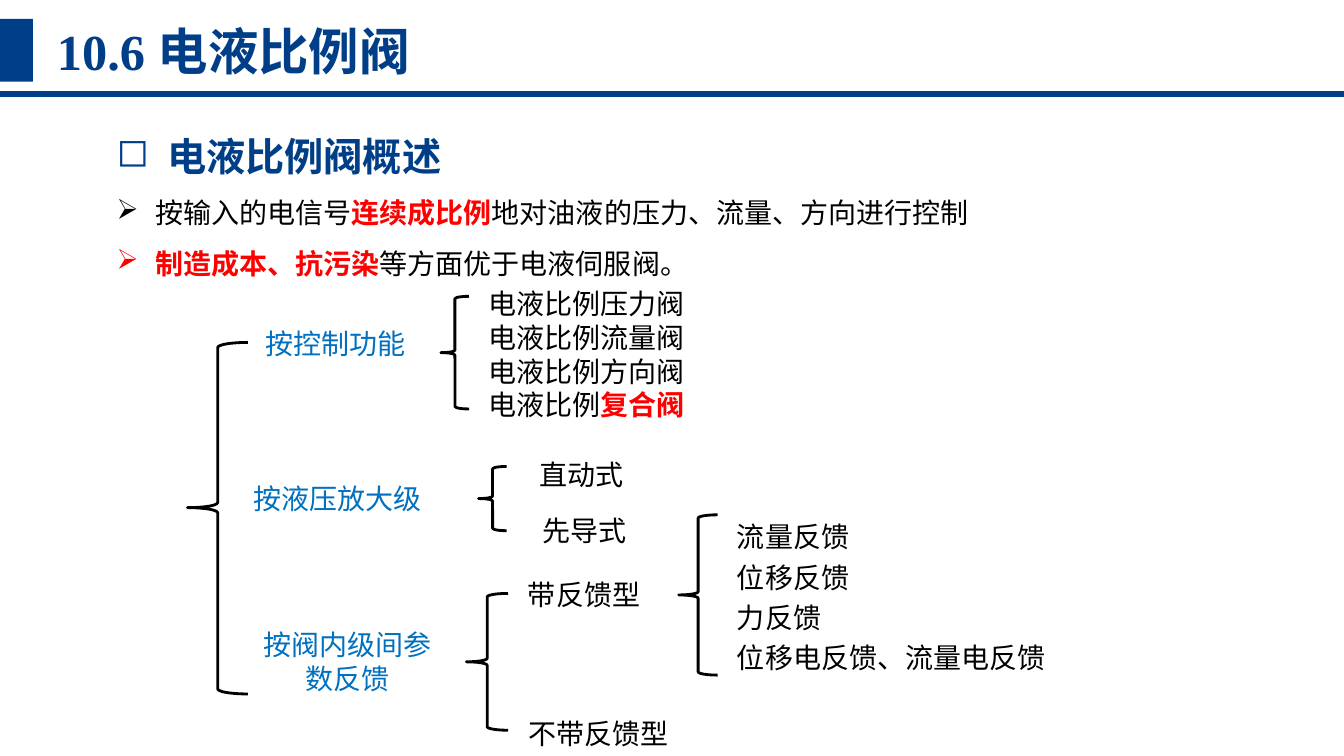
from dataclasses import dataclass

from lxml.etree import SubElement
from pptx import Presentation
from pptx.dml.color import RGBColor
from pptx.enum.shapes import MSO_CONNECTOR, MSO_SHAPE
from pptx.enum.text import MSO_AUTO_SIZE, PP_ALIGN
from pptx.oxml.ns import qn
from pptx.util import Inches, Pt


@dataclass(frozen=True)
class Theme:
    navy: str = "003F88"
    blue: str = "0070C0"
    black: str = "000000"
    red: str = "FF0000"
    title: int = 36
    heading: int = 28
    body: int = 20
    bar: float = 4.5
    brace: float = 2
    cjk: str = "Noto Sans CJK SC"
    latin: str = "Times New Roman"


THEME = Theme()
WIDTH, HEIGHT = Inches(13.33), Inches(7.5)
COL, ROW = WIDTH / 100, HEIGHT / 100


def grid(x, y, w, h):
    return round(x * COL), round(y * ROW), round(w * COL), round(h * ROW)


def add_run(p, text, color, size=THEME.body, bold=False, font=THEME.cjk):
    r = p.add_run()
    r.text = text
    r.font.size = Pt(size)
    r.font.bold = bold
    r.font.name = font
    r.font.color.rgb = RGBColor.from_string(color)
    SubElement(r.font._element, qn("a:ea")).set("typeface", font)


def add_box(s, place, wrap=True):
    tf = s.shapes.add_textbox(*grid(*place)).text_frame
    tf.word_wrap = wrap
    tf.auto_size = MSO_AUTO_SIZE.SHAPE_TO_FIT_TEXT
    return tf


def add_bullet(p, char, indent):
    pPr = p._p.get_or_add_pPr()
    pPr.set("marL", str(Inches(indent)))
    pPr.set("indent", str(-Inches(indent)))
    SubElement(pPr, qn("a:buChar")).set("char", char)


def add_lines(s, place, lines, color=THEME.black, align=PP_ALIGN.JUSTIFY,
              spacing=1.0, wrap=True):
    tf = add_box(s, place, wrap)
    for i, (plain, strong) in enumerate(lines):
        p = tf.add_paragraph() if i else tf.paragraphs[0]
        p.alignment = align
        p.line_spacing = spacing
        add_run(p, plain, color)
        if strong:
            add_run(p, strong, THEME.red, bold=True)


def add_brace(s, place, tip=0.5):
    sp = s.shapes.add_shape(MSO_SHAPE.LEFT_BRACE, *grid(*place))
    sp.shadow.inherit = False
    sp.fill.background()
    sp.line.color.rgb = RGBColor.from_string(THEME.black)
    sp.line.width = Pt(THEME.brace)
    sp.adjustments[1] = tip


def add_header(s):
    rule_y = round(12.4 * ROW)
    rule = s.shapes.add_connector(MSO_CONNECTOR.STRAIGHT, 0, rule_y, WIDTH, rule_y)
    rule.line.color.rgb = RGBColor.from_string(THEME.navy)
    rule.line.width = Pt(THEME.bar)
    SubElement(rule._element.spPr, qn("a:effectLst"))
    block = s.shapes.add_shape(MSO_SHAPE.RECTANGLE, *grid(0, 2.5, 2.45, 8.3))
    block.shadow.inherit = False
    block.fill.solid()
    block.fill.fore_color.rgb = RGBColor.from_string(THEME.navy)
    block.line.fill.background()
    p = add_box(s, (3.5, 2, 29.8, 9.5)).paragraphs[0]
    add_run(p, "10.6 ", THEME.navy, THEME.title, True, THEME.latin)
    add_run(p, "电液比例阀", THEME.navy, THEME.title, True)


def add_overview(s):
    black, red = THEME.black, THEME.red
    points = [
        ("◻", 0.5, [("电液比例阀概述", THEME.navy, THEME.heading, True)]),
        ("➢", 0.38, [("按输入的电信号", black),
                     ("连续成比例", red, THEME.body, True),
                     ("地对油液的压力、流量、方向进行控制", black)]),
        ("➢", 0.38, [("制造成本、抗污染", red, THEME.body, True),
                     ("等方面优于电液伺服阀。", black)]),
    ]
    tf = add_box(s, (7.95, 13.7, 86, 23.5))
    for i, (char, indent, runs) in enumerate(points):
        p = tf.add_paragraph() if i else tf.paragraphs[0]
        p.alignment = PP_ALIGN.JUSTIFY
        p.line_spacing = 1.5
        add_bullet(p, char, indent)
        for run in runs:
            add_run(p, *run)


def add_tree(s):
    add_brace(s, (13.95, 45.3, 4.5, 46.5), 0.47)
    for place in [(32.8, 39.2, 2.1, 14.9), (35.6, 61.7, 2.1, 8.5),
                  (34.7, 78.5, 3.1, 18.1), (50.5, 68.1, 2.9, 21.2)]:
        add_brace(s, place)

    for text, place, align, wrap in [
        ("按控制功能", (19, 42.5, 12, 5.9), PP_ALIGN.LEFT, False),
        ("按液压放大级", (18.1, 63.1, 16.9, 5.9), PP_ALIGN.LEFT, True),
        ("按阀内级间参数反馈", (18.1, 82.4, 15.5, 10.3), PP_ALIGN.CENTER, True),
    ]:
        add_lines(s, place, [(text, "")], THEME.blue, align, wrap=wrap)

    for text, x, y, w in [("直动式", 39.4, 57.6, 14.1), ("先导式", 39.6, 65.1, 9.7),
                          ("带反馈型", 38.55, 73.5, 12.4),
                          ("不带反馈型", 38.55, 91.9, 14.6)]:
        add_lines(s, (x, y, w, 7.3), [(text, "")], spacing=1.5)

    add_lines(s, (35.6, 37.3, 37.5, 19.4),
              [("电液比例压力阀", ""), ("电液比例流量阀", ""),
               ("电液比例方向阀", ""), ("电液比例", "复合阀")])
    add_lines(s, (54.1, 67.2, 29.5, 22.4),
              [("流量反馈", ""), ("位移反馈", ""), ("力反馈", ""),
               ("位移电反馈、流量电反馈", "")], spacing=1.2)


def main():
    prs = Presentation()
    prs.slide_width, prs.slide_height = WIDTH, HEIGHT
    s = prs.slides.add_slide(prs.slide_layouts[6])
    add_header(s)
    add_overview(s)
    add_tree(s)
    prs.save("out.pptx")


if __name__ == "__main__":
    main()
